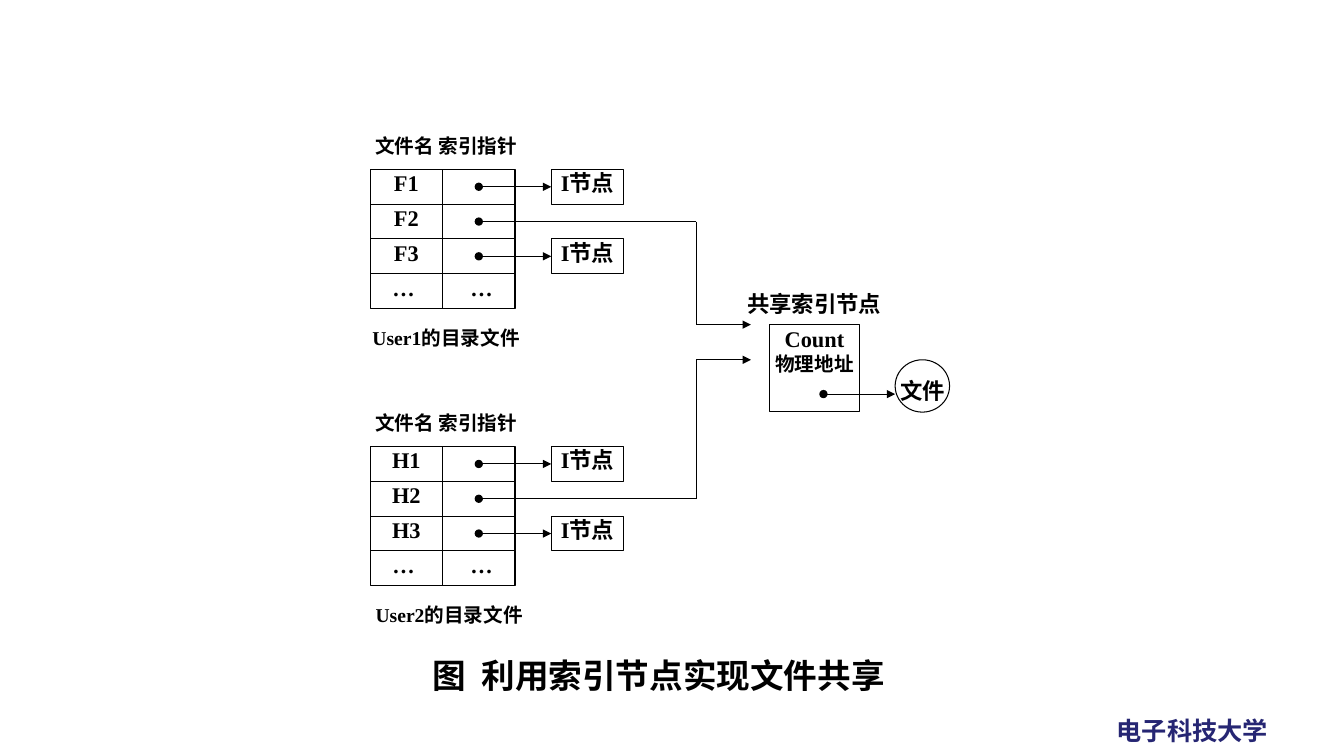
"""Build a slide showing file sharing through index nodes."""
from dataclasses import dataclass

from lxml.etree import SubElement
from pptx import Presentation
from pptx.dml.color import RGBColor
from pptx.enum.shapes import MSO_CONNECTOR as Connector, MSO_SHAPE as Preset
from pptx.enum.text import MSO_ANCHOR as Anchor, MSO_AUTO_SIZE as AutoSize, PP_ALIGN as Align
from pptx.oxml.ns import qn
from pptx.util import Pt

LATIN, CHINESE = "Times New Roman", "Noto Sans CJK SC"
BLACK, NAVY = "000000", "262673"
LEFT, COLUMN, ROW = 264.4, 51.75, 24.84
DOT_X = LEFT + 1.5 * COLUMN
NODE_X = LEFT + 2.5 * COLUMN
BEND_X = LEFT + 4.5 * COLUMN
SHARED_TIP_X = 536.4
LABEL_WIDTH = 116.6


@dataclass
class Box:
    left: float
    top: float
    width: float
    height: float


@dataclass
class Line:
    text: str
    size: float = 16
    font: str = LATIN
    color: str = BLACK


@dataclass
class Directory:
    user: str
    prefix: str
    top: float
    caption_left: float
    target_y: float


DIRECTORIES = [
    Directory("User1", "F", 121, 260.4, 231.9),
    Directory("User2", "H", 319, 262.6, 257),
]


def color_of(value: str) -> RGBColor:
    return RGBColor.from_string(value)


def write(shape, lines: list[Line], insets=(0, 0), wrap: bool = True) -> None:
    frame = shape.text_frame
    frame.auto_size = AutoSize.NONE
    frame.word_wrap = wrap
    frame.vertical_anchor = Anchor.TOP
    frame.margin_left, frame.margin_right = (Pt(inset) for inset in insets)
    frame.margin_top = frame.margin_bottom = 0
    for index, line in enumerate(lines):
        paragraph = frame.add_paragraph() if index else frame.paragraphs[0]
        paragraph.alignment = Align.CENTER
        run = paragraph.add_run()
        run.text = line.text
        run.font.size = Pt(line.size)
        run.font.bold = True
        run.font.color.rgb = color_of(line.color)
        run.font.name = line.font
        SubElement(run._r.get_or_add_rPr(), qn("a:ea"), typeface=CHINESE)


def add_outline(slide, box: Box, lines: list[Line], preset=Preset.RECTANGLE, insets=(0, 0)) -> None:
    shape = slide.shapes.add_shape(preset, Pt(box.left), Pt(box.top), Pt(box.width), Pt(box.height))
    shape.shadow.inherit = False
    shape.fill.background()
    shape.line.color.rgb = color_of(BLACK)
    shape.line.width = Pt(0.75)
    write(shape, lines, insets)


def add_label(slide, box: Box, line: Line, wrap: bool = True) -> None:
    label = slide.shapes.add_textbox(Pt(box.left), Pt(box.top), Pt(box.width), Pt(box.height))
    write(label, [line], wrap=wrap)


def add_line(slide, start: tuple, end: tuple, dot: bool = False, arrow: bool = False) -> None:
    connector = slide.shapes.add_connector(Connector.STRAIGHT, *map(Pt, start + end))
    connector.line.color.rgb = color_of(BLACK)
    connector.line.width = Pt(0.75)
    outline = connector.line._get_or_add_ln()
    if dot:
        SubElement(outline, qn("a:headEnd"), type="oval")
    if arrow:
        SubElement(outline, qn("a:tailEnd"), type="triangle")
    SubElement(connector._element.spPr, qn("a:effectLst"))


def add_directory(slide, directory: Directory) -> None:
    header = Box(260.4, directory.top - 25.2, LABEL_WIDTH, ROW)
    add_label(slide, header, Line("文件名 索引指针", 14))
    names = [f"{directory.prefix}{number}" for number in (1, 2, 3)]
    for index, name in enumerate(names + ["…"]):
        top = directory.top + index * ROW
        middle = top + ROW / 2
        last = name == "…"
        add_outline(slide, Box(LEFT, top, COLUMN, ROW), [Line(name)], insets=(0, 4 if last else 0))
        pointer = [Line(name)] if last else []
        add_outline(slide, Box(LEFT + COLUMN, top, COLUMN, ROW), pointer, insets=(4, 0))
        if index in (0, 2):
            add_outline(slide, Box(NODE_X, top, COLUMN, ROW), [Line("I节点")])
            add_line(slide, (DOT_X, middle), (NODE_X, middle), dot=True, arrow=True)
        elif index == 1:
            add_line(slide, (DOT_X, middle), (BEND_X, middle), dot=True)
            add_line(slide, (BEND_X, middle), (BEND_X, directory.target_y))
            add_line(slide, (BEND_X, directory.target_y), (SHARED_TIP_X, directory.target_y), arrow=True)
    caption = Box(directory.caption_left, directory.top + 111.6, LABEL_WIDTH, ROW)
    add_label(slide, caption, Line(f"{directory.user}的目录文件", 14))


def add_shared_node(slide) -> None:
    add_label(slide, Box(523.4, 207.2, LABEL_WIDTH, ROW), Line("共享索引节点"))
    add_outline(slide, Box(549.4, 231.9, 64.8, 62), [Line("Count"), Line("物理地址", 14)])
    add_outline(slide, Box(639.4, 257, 38.9, 37.4), [], Preset.OVAL)
    add_label(slide, Box(639.4, 269.3, 38.9, ROW), Line("文件"))
    add_line(slide, (588.2, 281.5), (639.4, 281.5), dot=True, arrow=True)


def add_title(slide) -> None:
    title = slide.shapes.title
    title.left, title.top, title.width, title.height = map(Pt, (265, 468, 401, 37.4))
    write(title, [Line("图  利用索引节点实现文件共享", 24, CHINESE)], insets=(10, 0))


def main() -> None:
    presentation = Presentation()
    presentation.slide_width, presentation.slide_height = Pt(960), Pt(540)
    slide = presentation.slides.add_slide(presentation.slide_layouts[5])
    add_title(slide)
    for directory in DIRECTORIES:
        add_directory(slide, directory)
    add_shared_node(slide)
    university = Line("电子科技大学", 18, CHINESE, NAVY)
    add_label(slide, Box(789.8, 511.2, 123.8, 25.2), university, wrap=False)
    presentation.save("out.pptx")


if __name__ == "__main__":
    main()
